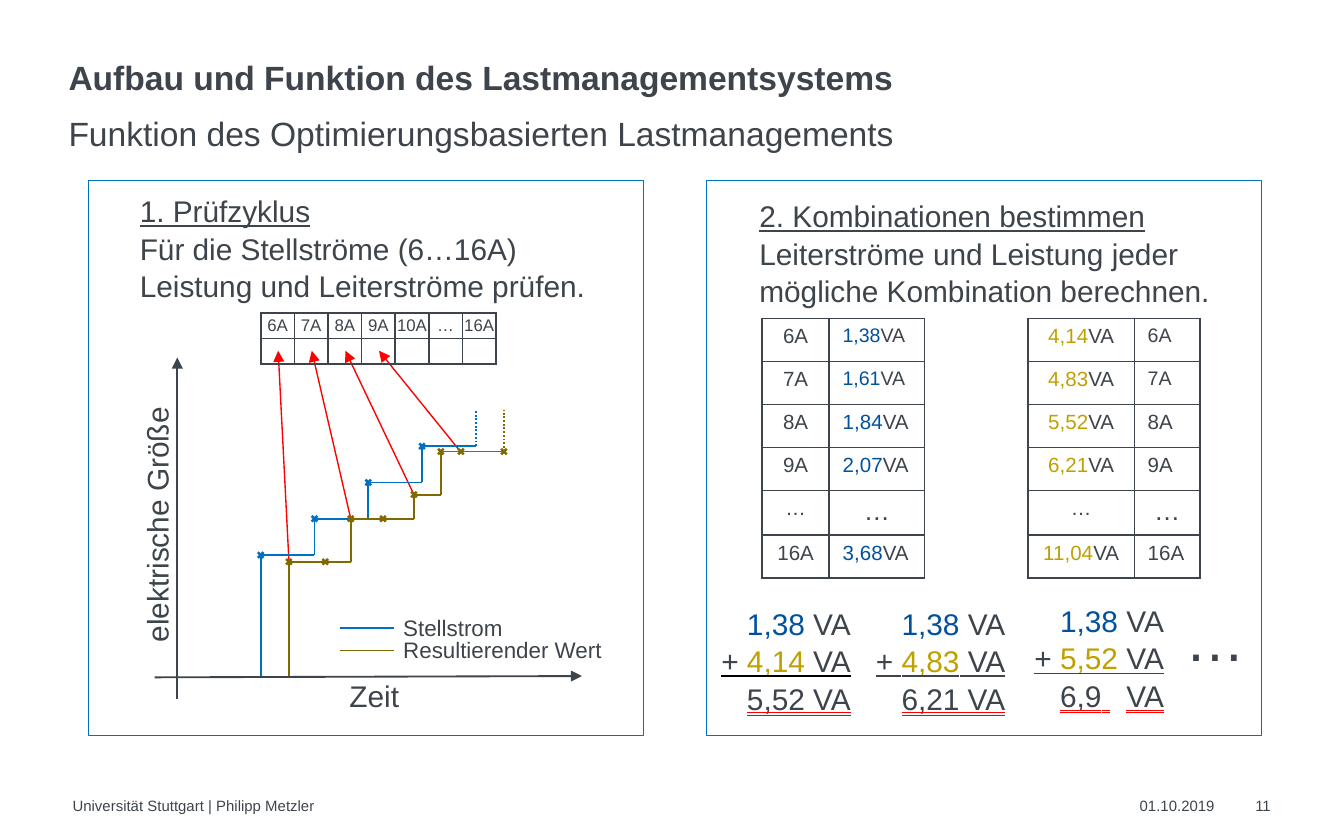
import itertools
import lxml.etree
import pptx
import pptx.dml.color
import pptx.enum.dml
import pptx.enum.shapes
import pptx.enum.text
import pptx.oxml.ns
import pptx.util

Inches = pptx.util.Inches
Pt = pptx.util.Pt
qn = pptx.oxml.ns.qn
Color = pptx.dml.color.RGBColor
Shape = pptx.enum.shapes.MSO_SHAPE
Align = pptx.enum.text.PP_ALIGN
Anchor = pptx.enum.text.MSO_ANCHOR
Under = pptx.enum.text.MSO_UNDERLINE

INK = Color(0x3E, 0x44, 0x4C)
BLUE = Color(0x00, 0x70, 0xC0)
NAVY = Color(0x00, 0x51, 0x9E)
OLIVE = Color(0x80, 0x6A, 0x00)
GOLD = Color(0xBF, 0xA0, 0x00)
RED = Color(0xFF, 0x00, 0x00)
BLACK = Color(0x00, 0x00, 0x00)


def add(parent, tag, **attrs):
    return lxml.etree.SubElement(parent, qn(tag), **attrs)


def paint(parent, color):
    add(add(parent, "a:solidFill"), "a:srgbClr", val=str(color))


class Page:
    font = "Arial"

    def __init__(self, slide):
        self.slide = slide
        self.shapes = slide.shapes

    def style(self, run, size, color=INK, bold=False, under=None, rule=None):
        """Format a run; rule is the colour of its underline."""
        font = run.font
        font.size, font.bold, font.underline = Pt(size), bold, under
        font.color.rgb = color
        font.name = self.font
        if rule is not None:
            mark = lxml.etree.Element(qn("a:uFill"))
            paint(mark, rule)
            run._r.rPr.find(qn("a:latin")).addprevious(mark)

    def fill(self, para, parts, size, align=Align.LEFT):
        """Write parts, each (text, colour, underline, underline colour)."""
        para.alignment = align
        for text, *look in parts:
            run = para.add_run()
            run.text = text
            self.style(run, size, *look[:1], under=look[1] if look[1:] else None,
                       rule=look[2] if look[2:] else None)
        if not parts:
            add(para._p, "a:endParaRPr", sz=str(size * 100))

    def frame(self, frame, anchor=Anchor.TOP):
        frame.word_wrap = True
        frame.vertical_anchor = anchor
        frame.margin_left = frame.margin_right = 0
        frame.margin_top = frame.margin_bottom = 0

    def title(self, text, x, y, w, h):
        box = self.shapes.title
        box.left, box.top, box.width, box.height = map(Inches, (x, y, w, h))
        self.frame(box.text_frame, Anchor.BOTTOM)
        box.text_frame.text = text
        para = box.text_frame.paragraphs[0]
        para.alignment, para.line_spacing = Align.LEFT, 0.9
        self.style(para.runs[0], 18, bold=True)

    def text(self, lines, x, y, w, h, size, align=Align.LEFT,
             anchor=Anchor.TOP, gaps=(1.05,)):
        """Add a box; gaps are line spacings, the last one repeating."""
        box = self.shapes.add_textbox(*map(Inches, (x, y, w, h)))
        frame = box.text_frame
        self.frame(frame, anchor)
        for i, parts in enumerate(lines):
            para = frame.add_paragraph() if i else frame.paragraphs[0]
            para.line_spacing = gaps[min(i, len(gaps) - 1)]
            self.fill(para, parts, size, align)
        return box

    def panel(self, x, y, side):
        box = self.shapes.add_shape(Shape.RECTANGLE, *map(Inches, (x, y, side, side)))
        box.shadow.inherit = False
        box.fill.background()
        box.line.color.rgb, box.line.width = BLUE, Pt(0.5)

    def cross(self, x, y, color, side=0.08):
        mark = self.shapes.add_shape(
            Shape.MATH_MULTIPLY,
            *map(Inches, (x - side / 2, y - side / 2, side, side)))
        mark.shadow.inherit = False
        mark.fill.solid()
        mark.fill.fore_color.rgb = color
        mark.line.fill.background()

    def line(self, start, end, color, width=1, arrow=False, dots=False):
        link = self.shapes.add_connector(
            pptx.enum.shapes.MSO_CONNECTOR.STRAIGHT, *map(Inches, (*start, *end)))
        link.line.color.rgb, link.line.width = color, Pt(width)
        if dots:
            link.line.dash_style = pptx.enum.dml.MSO_LINE.ROUND_DOT
        if arrow:
            add(link.line._get_or_add_ln(), "a:tailEnd", type="triangle")
        add(link._element.spPr, "a:effectLst")

    def curve(self, points, color):
        """Draw a staircase that goes on as a dotted rise."""
        for start, end in itertools.pairwise(points):
            self.line(start, end, color)
        x, y = points[-1]
        self.line((x, y), (x, 3.05), color, dots=True)

    def table(self, rows, x, y, cols, high, pad=None):
        """Add a grid; each cell is (parts, size, alignment)."""
        grid = self.shapes.add_table(
            len(rows), len(cols), *map(Inches, (x, y, sum(cols), high * len(rows)))).table
        grid.first_row = grid.horz_banding = False
        for col, wide in zip(grid.columns, cols):
            col.width = Inches(wide)
        for row, cells in zip(grid.rows, rows):
            row.height = Inches(high)
            for cell, (parts, size, align) in zip(row.cells, cells):
                if pad is not None:
                    cell.margin_left = cell.margin_right = Inches(pad)
                    cell.margin_top = cell.margin_bottom = Inches(pad)
                    cell.vertical_anchor = Anchor.MIDDLE
                self.fill(cell.text_frame.paragraphs[0], parts, size, align)
                for side in "LRTB":
                    edge = add(cell._tc.get_or_add_tcPr(), "a:ln" + side, w=str(Pt(1)))
                    paint(edge, INK)
                cell.fill.background()

    def total(self, x, y, add_end, result, rule):
        box = self.text(
            [[("1,38", NAVY), (" VA", INK)],
             [("+ ", INK, True, rule), (add_end, GOLD, True, rule), (" VA", INK, True, rule)],
             [(part, INK, Under.DOUBLE_LINE, RED) for part in (result, " ", "VA")]],
            x, y, 1.15, 0.74, 16, Align.RIGHT, Anchor.MIDDLE)
        if len(result) < 4:  # widen the gap by the missing digit
            box.text_frame.paragraphs[2].runs[1].font._element.set("spc", "890")


def chart(page):
    ends = [(2.15, 4.18), (2.61, 3.86), (3.08, 3.68), (3.41, 3.34)]
    for i, start in enumerate(ends):
        page.line(start, (2.07 + 0.25 * i, 2.61), RED, 0.75, arrow=True)
    page.line((1.15, 5.04), (4.33, 5.03), INK, arrow=True)
    page.line((1.32, 5.2), (1.32, 2.66), INK, arrow=True)
    page.text([[("Zeit",)]], 1.11, 5.03, 3.35, 0.19, 16, Align.CENTER)
    label = page.text([[("elektrische Größe",)]], -0.56, 3.81, 3.35, 0.19, 16, Align.CENTER)
    label.rotation = 270

    blue = [(1.94 + 0.4 * i, 4.13 - 0.27 * i) for i in range(4)]
    olive = [*ends[:3], (3.28, 3.36)]
    for color, knots, stop in ((BLUE, blue, 3.54), (OLIVE, olive, 3.75)):
        points = [(knots[0][0], 5.03)]
        for (x, y), after in zip(knots, [x for x, _ in knots[1:]] + [stop]):
            points += [(x, y), (after, y)]
        page.curve(points, color)
    for x, y in olive + [(2.42, 4.18), (2.85, 3.86), (3.43, 3.36), (3.75, 3.36)]:
        page.cross(x, y, OLIVE)
    for x, y in blue:
        page.cross(x, y, BLUE)

    keys = (("Stellstrom", BLUE), ("Resultierender Wert", OLIVE))
    for i, (name, color) in enumerate(keys):
        page.line((2.53, 4.67 + 0.17 * i), (2.93, 4.67 + 0.17 * i), color)
        page.text([[(name,)]], 3, 4.56 + 0.16 * i, 1.65, 0.19, 12)
    heads = ["6A", "7A", "8A", "9A", "10A", "…", "16A"]
    page.table([[([(head,)], 9, Align.CENTER) for head in heads],
                [([], 9, Align.CENTER)] * 7], 1.94, 2.33, [0.25] * 7, 0.19, pad=0)


def combos(page):
    amps = ["6A", "7A", "8A", "9A", "…", "16A"]
    one = ["1,38", "1,61", "1,84", "2,07", None, "3,68"]
    three = ["4,14", "4,83", "5,52", "6,21", None, "11,04"]
    dots = [("…",)]
    left, right = [], []
    for i, (amp, low, high) in enumerate(zip(amps, one, three)):
        size, side = (10.5 if i < 2 else 11), Align.LEFT
        if low is None:
            size, side = 14, Align.CENTER
        left.append([([(amp,)], 11, Align.CENTER),
                     ([(low, NAVY), ("VA", INK)] if low else dots, size, side)])
        right.append([([(high, GOLD), ("VA", INK)] if high else dots, 11, Align.CENTER),
                      ([(amp,)], size, side)])
    page.table(left, 5.67, 2.37, [0.5, 0.71], 0.32)
    page.table(right, 7.65, 2.37, [0.79, 0.49], 0.32)
    page.total(5.18, 4.54, "4,14", "5,52", BLACK)
    page.total(6.33, 4.54, "4,83", "6,21", INK)
    page.total(7.51, 4.52, "5,52", "6,9", INK)
    page.text([dots], 8.38, 4.36, 1.32, 0.74, 32, Align.CENTER, Anchor.MIDDLE)


def main():
    deck = pptx.Presentation()
    deck.slide_width, deck.slide_height = Inches(10), Inches(6.25)
    page = Page(deck.slides.add_slide(deck.slide_layouts[5]))
    page.title("Aufbau und Funktion des Lastmanagementsystems", 0.51, 0.43, 8.98, 0.3)
    page.text([[("Funktion des Optimierungsbasierten Lastmanagements",)]],
              0.51, 0.78, 8.98, 0.3, 18, gaps=(1.2,))
    for note, x, w in (("Universität Stuttgart | Philipp Metzler", 0.54, 6.6),
                       ("01.10.2019", 8.48, 0.6), ("11", 9.34, 0.24)):
        page.text([[(note,)]], x, 5.93, w, 0.14, 8, gaps=(1,))
    parts = (
        (0.66, 1.04, 1.3, 3.35, "1. Prüfzyklus",
         "Für die Stellströme (6…16A) Leistung und Leiterströme prüfen."),
        (5.26, 5.65, 1.34, 3.41, "2. Kombinationen bestimmen",
         "Leiterströme und Leistung jeder mögliche Kombination berechnen."))
    for edge, x, y, w, head, body in parts:
        page.panel(edge, 1.34, 4.13)
        page.text([[(head, INK, True)], [(body,)]], x, y, w, 0.89, 16, gaps=(1.5, 1.05))
    chart(page)
    combos(page)
    deck.save("out.pptx")


if __name__ == "__main__":
    main()
